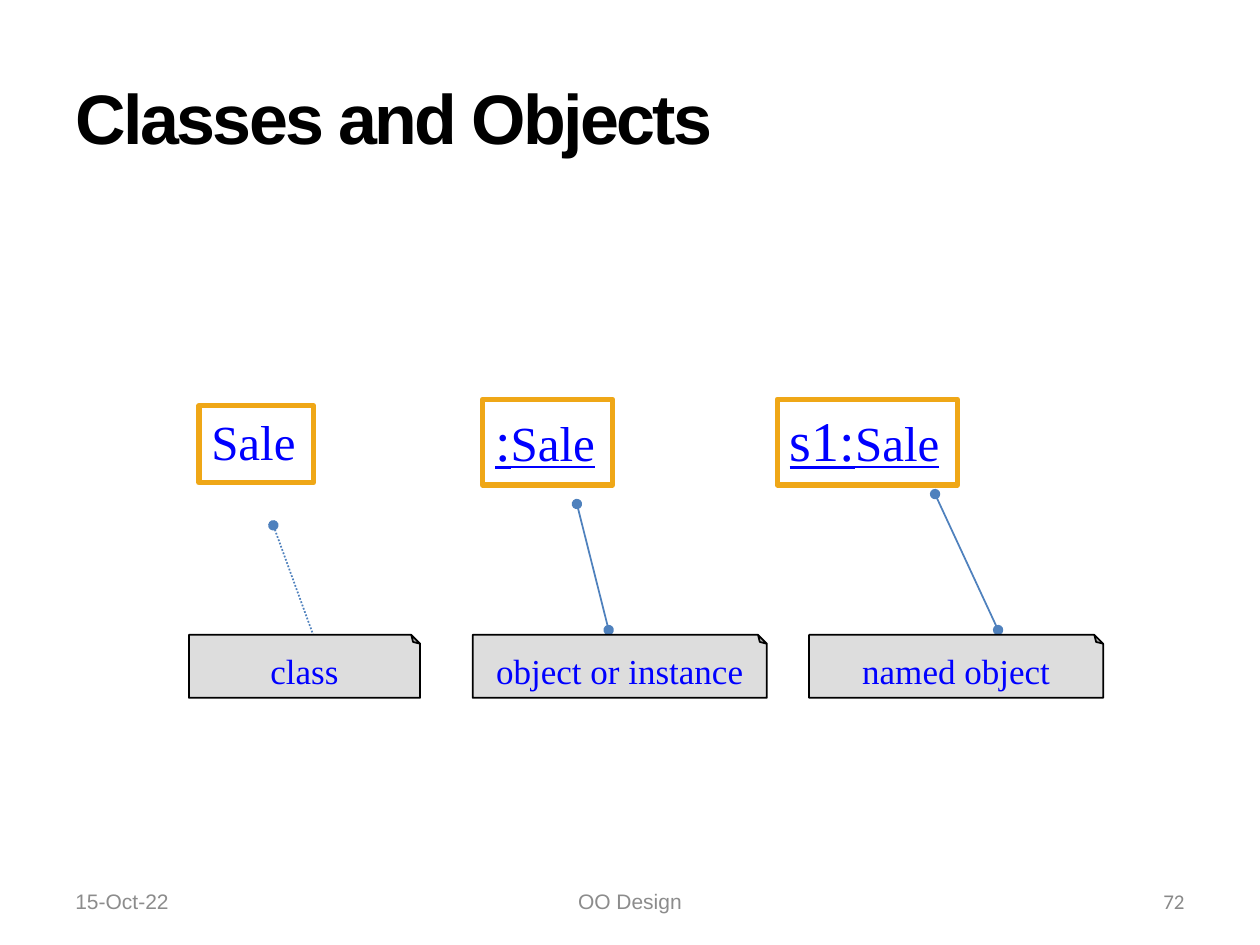
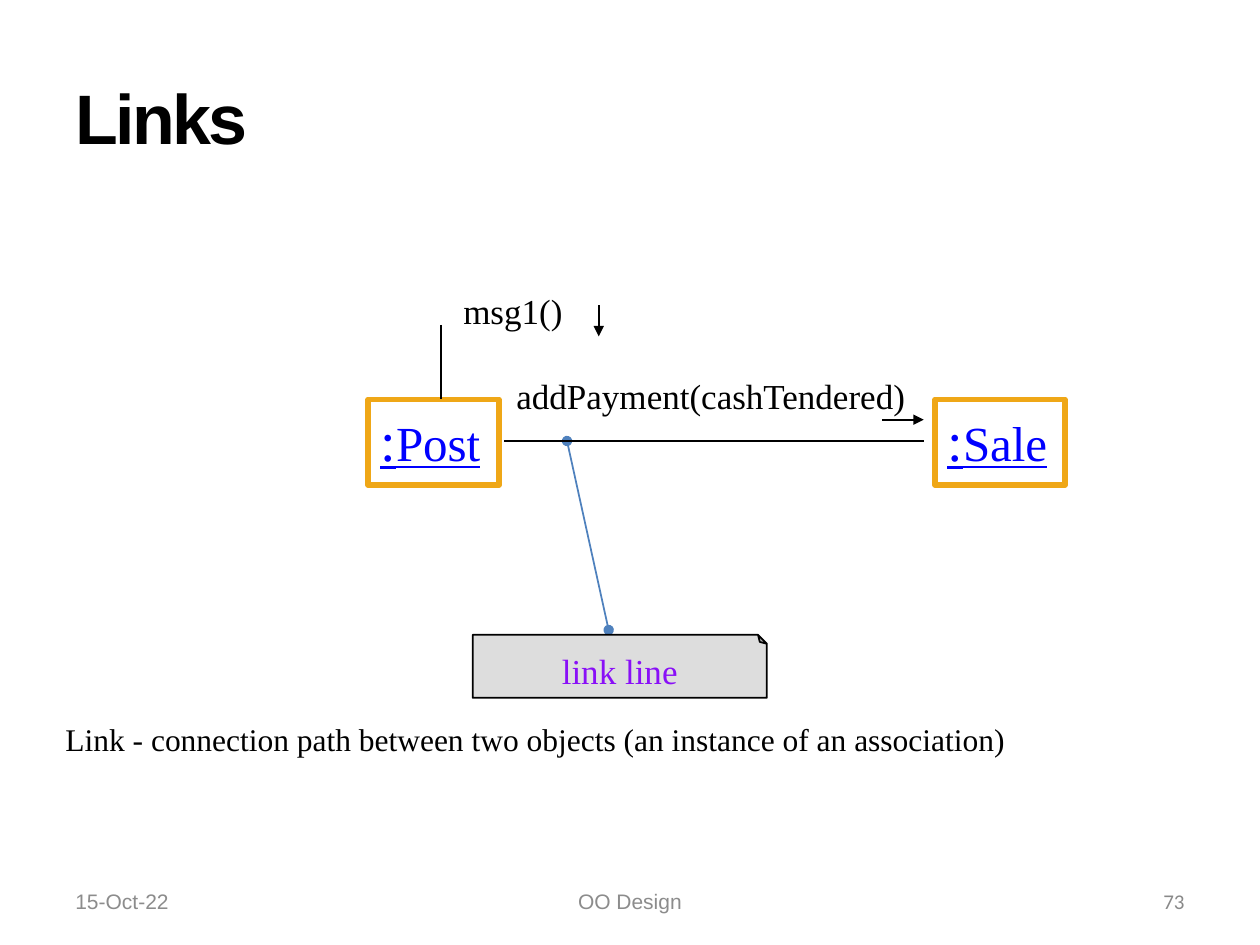
from typing import NamedTuple

from lxml import etree
from pptx import Presentation
from pptx.dml.color import RGBColor
from pptx.enum import dml, shapes, text
from pptx.oxml.ns import qn
from pptx.util import Cm, Pt

BLACK = RGBColor(0x00, 0x00, 0x00)
BLUE = RGBColor(0x00, 0x00, 0xFF)
PURPLE = RGBColor(0x89, 0x0F, 0xF7)
STEEL = RGBColor(0x4F, 0x81, 0xBD)
AMBER = RGBColor(0xEF, 0xA7, 0x17)
NOTE_GREY = RGBColor(0xDD, 0xDD, 0xDD)
FOOTER_GREY = RGBColor(0x8C, 0x8C, 0x8C)
NUMBER_GREY = RGBColor(0x89, 0x89, 0x89)

SANS, SERIF, NUMBER_FONT = "Arial", "Times New Roman", "Calibri"
NOTE_TOP, NOTE_HEIGHT = 12.8, 1.27
OBJECT_TOP, OBJECT_HEIGHT = 8.05, 1.73
FOOTER_TOP, FOOTER_HEIGHT = 17.65, 1.02


# All lengths below are in centimetres.
class Entity(NamedTuple):
    """A class box, or an object box when it has a prefix."""
    prefix: str
    name: str
    left: float
    width: float
    top: float = OBJECT_TOP
    height: float = OBJECT_HEIGHT


class Note(NamedTuple):
    caption: str
    left: float
    width: float = 5.93
    color: RGBColor = BLUE


class Line(NamedTuple):
    start: tuple[float, float]
    end: tuple[float, float]
    color: RGBColor = BLACK
    head: str = ""
    tail: str = ""
    dotted: bool = False


class Label(NamedTuple):
    caption: str
    left: float
    top: float
    width: float
    height: float
    size: float = 20
    color: RGBColor = BLACK
    font: str = SERIF
    align: text.PP_ALIGN = text.PP_ALIGN.LEFT
    anchor: text.MSO_ANCHOR = text.MSO_ANCHOR.TOP
    wrap: bool = False


def pointer(start: tuple[float, float], end: tuple[float, float],
            dotted: bool = False) -> Line:
    """Line with round ends that ties a note to what it explains."""
    return Line(start, end, STEEL, "oval", "oval", dotted)


def arrow(start: tuple[float, float], end: tuple[float, float]) -> Line:
    return Line(start, end, tail="triangle")


def style_run(span, size: float, color: RGBColor, font: str = SERIF) -> None:
    span.font.size = Pt(size)
    span.font.name = font
    span.font.color.rgb = color


def add_label(page, label: Label) -> None:
    box = page.shapes.add_textbox(
        Cm(label.left), Cm(label.top), Cm(label.width), Cm(label.height))
    frame = box.text_frame
    frame.text = label.caption
    frame.word_wrap = label.wrap
    frame.vertical_anchor = label.anchor
    para = frame.paragraphs[0]
    para.alignment = label.align
    style_run(para.runs[0], label.size, label.color, label.font)


def add_entity(page, entity: Entity) -> None:
    box = page.shapes.add_shape(
        shapes.MSO_SHAPE.RECTANGLE, Cm(entity.left), Cm(entity.top),
        Cm(entity.width), Cm(entity.height))
    box.shadow.inherit = False
    box.fill.background()
    box.line.color.rgb = AMBER
    box.line.width = Pt(3)
    frame = box.text_frame
    frame.word_wrap = False
    frame.auto_size = text.MSO_AUTO_SIZE.SHAPE_TO_FIT_TEXT
    frame.vertical_anchor = text.MSO_ANCHOR.TOP
    para = frame.paragraphs[0]
    para.alignment = text.PP_ALIGN.LEFT
    for part, size in ((entity.prefix, 32), (entity.name, 28)):
        if part:
            span = para.add_run()
            span.text = part
            style_run(span, size, BLUE)
            span.font.underline = bool(entity.prefix)


def add_note(page, note: Note) -> None:
    """Grey sheet flipped so that its folded corner is at the top."""
    box = page.shapes.add_shape(
        shapes.MSO_SHAPE.FOLDED_CORNER, Cm(note.left), Cm(NOTE_TOP),
        Cm(note.width), Cm(NOTE_HEIGHT))
    properties = box.element.spPr
    properties.find(qn("a:xfrm")).set("flipV", "1")
    fold = etree.SubElement(
        properties.find(qn("a:prstGeom")).find(qn("a:avLst")), qn("a:gd"))
    fold.set("name", "adj")
    fold.set("fmla", "val 14000")
    box.shadow.inherit = False
    box.fill.solid()
    box.fill.fore_color.rgb = NOTE_GREY
    box.line.color.rgb = BLACK
    box.line.width = Pt(1)
    frame = box.text_frame
    frame.text = note.caption
    frame.word_wrap = False
    frame.vertical_anchor = text.MSO_ANCHOR.MIDDLE
    box.element.txBody.find(qn("a:bodyPr")).set("rot", "10800000")
    para = frame.paragraphs[0]
    para.alignment = text.PP_ALIGN.CENTER
    style_run(para.runs[0], 20, note.color)


def add_line(page, line: Line) -> None:
    connector = page.shapes.add_connector(
        shapes.MSO_CONNECTOR.STRAIGHT,
        *(Cm(value) for value in line.start + line.end))
    connector.line.color.rgb = line.color
    connector.line.width = Pt(1)
    if line.dotted:
        connector.line.dash_style = dml.MSO_LINE.ROUND_DOT
    properties = connector.element.spPr
    outline = properties.find(qn("a:ln"))
    for tag, kind in (("a:headEnd", line.head), ("a:tailEnd", line.tail)):
        if kind:
            etree.SubElement(outline, qn(tag)).set("type", kind)
    etree.SubElement(properties, qn("a:effectLst"))


def add_page(deck, title: str, number: int):
    """Add a slide with the shared title style and footer."""
    page = deck.slides.add_slide(deck.slide_layouts[5])
    heading = page.shapes.title
    heading.left, heading.top = Cm(1.27), Cm(0.76)
    heading.width, heading.height = Cm(22.86), Cm(3.18)
    frame = heading.text_frame
    frame.text = title
    frame.auto_size = text.MSO_AUTO_SIZE.NONE
    frame.vertical_anchor = text.MSO_ANCHOR.MIDDLE
    para = frame.paragraphs[0]
    para.alignment = text.PP_ALIGN.LEFT
    span = para.runs[0]
    style_run(span, 40, BLACK, SANS)
    span.font.bold = True
    span.font._element.set("spc", "-150")

    footer = (
        ("15-Oct-22", 1.27, 5.93, FOOTER_GREY, SANS, text.PP_ALIGN.LEFT),
        ("OO Design", 8.68, 8.04, FOOTER_GREY, SANS, text.PP_ALIGN.CENTER),
        (str(number), 18.2, 5.93, NUMBER_GREY, NUMBER_FONT, text.PP_ALIGN.RIGHT),
    )
    for caption, left, width, color, font, align in footer:
        add_label(page, Label(caption, left, FOOTER_TOP, width, FOOTER_HEIGHT,
                              12, color, font, align,
                              text.MSO_ANCHOR.MIDDLE, True))
    return page


DRAWERS = {Entity: add_entity, Note: add_note, Line: add_line, Label: add_label}


def draw(page, items: list) -> None:
    for item in items:
        DRAWERS[type(item)](page, item)


def main() -> None:
    deck = Presentation()
    deck.slide_width, deck.slide_height = Cm(25.4), Cm(19.05)

    draw(add_page(deck, "Classes and Objects", 72), [
        Entity("", "Sale", 4.01, 2.31, 8.18, 1.55),
        pointer((5.51, 10.59), (6.35, 12.9), dotted=True),
        Note("class", 3.81, 4.66),
        pointer((11.63, 10.16), (12.27, 12.7)),
        Entity(":", "Sale", 9.73, 2.62),
        Note("object or instance", 9.53),
        pointer((18.85, 9.96), (20.12, 12.7)),
        Entity("s1:", "Sale", 15.67, 3.63),
        Note("named object", 16.31),
    ])

    draw(add_page(deck, "Links", 73), [
        Entity(":", "Sale", 18.85, 2.62),
        pointer((11.43, 8.89), (12.27, 12.7)),
        Note("link line", 9.53, color=PURPLE),
        Entity(":", "Post", 7.42, 2.64),
        Line((8.89, 6.55), (8.89, 8.05)),
        Label("msg1()", 9.09, 5.72, 2.51, 1.09),
        arrow((12.07, 6.15), (12.07, 6.78)),
        Line((10.16, 8.89), (18.62, 8.89)),
        Label("addPayment(cashTendered)", 10.16, 7.42, 8.38, 1.09),
        arrow((17.78, 8.46), (18.62, 8.46)),
        Label("Link - connection path between two objects "
              "(an instance of an association)", 1.07, 14.4, 19.48, 1.02, 18),
    ])

    deck.save("out.pptx")


if __name__ == "__main__":
    main()
